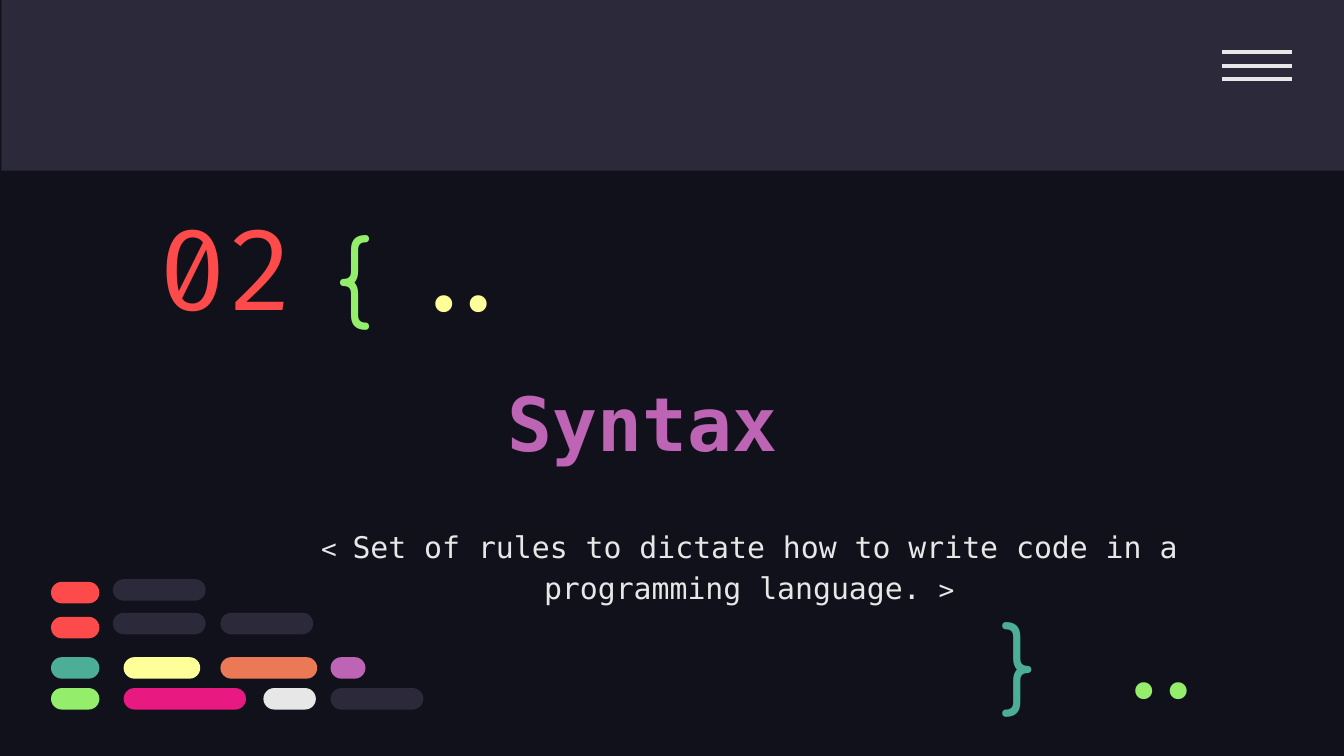
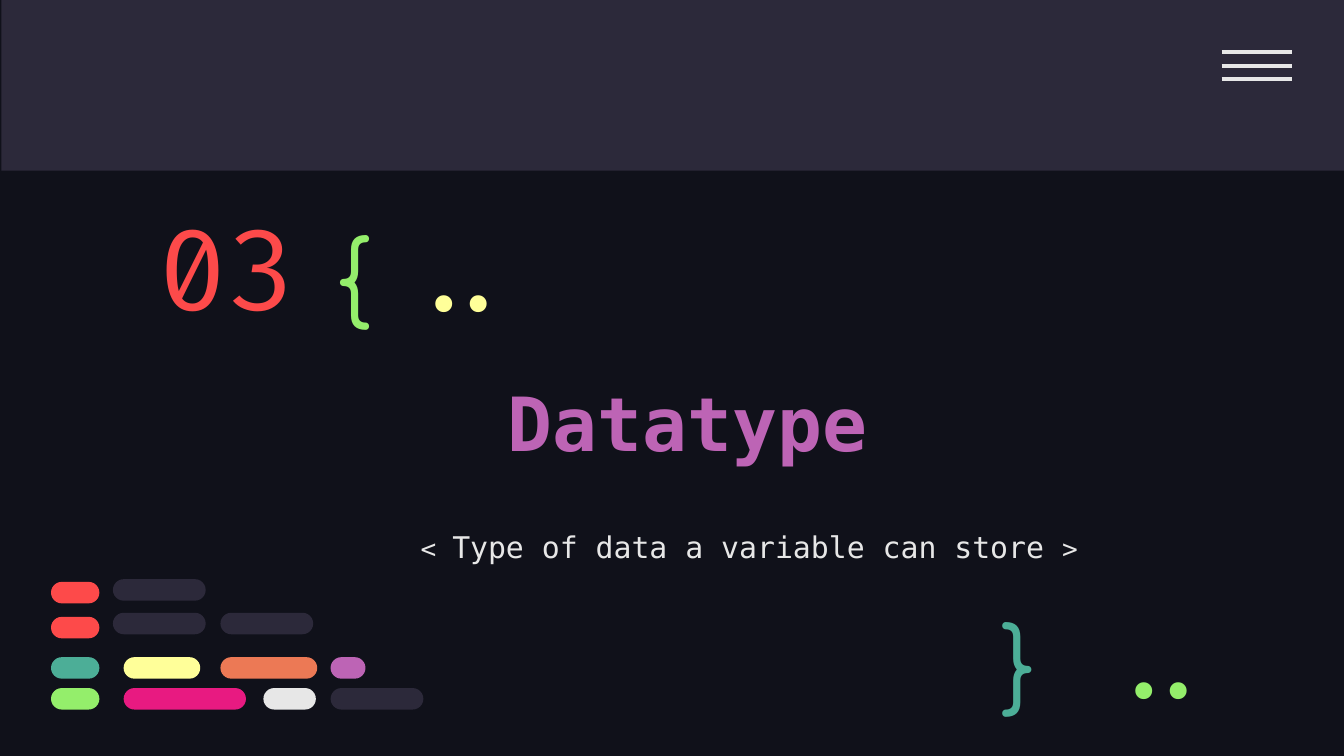
from pptx import Presentation
from pptx.dml.color import RGBColor
from pptx.enum.shapes import MSO_CONNECTOR as Line, MSO_SHAPE as Shape
from pptx.enum.text import MSO_ANCHOR as Anchor, PP_ALIGN as Align
from pptx.oxml.ns import qn
from pptx.util import Inches, Pt
from lxml.etree import SubElement

NIGHT = RGBColor(0x10, 0x11, 0x1A)
SLATE = RGBColor(0x2C, 0x29, 0x3A)
WHITE = RGBColor(0xE7, 0xE7, 0xE7)
RED = RGBColor(0xFD, 0x4A, 0x4A)
TEAL = RGBColor(0x4C, 0xAE, 0x97)
LIME = RGBColor(0x94, 0xEE, 0x6B)
YELLOW = RGBColor(0xFF, 0xFF, 0x99)
ORANGE = RGBColor(0xEC, 0x79, 0x55)
PURPLE = RGBColor(0xBD, 0x64, 0xB5)
PINK = RGBColor(0xE8, 0x1A, 0x81)

MONO, CODE, ROUND = "DejaVu Sans Mono", "Fira Code", "Comfortaa"
HEAD = {"name": MONO, "size": Pt(40), "bold": True}
NUMBER = {"name": CODE, "size": Pt(60)}
BRACE = {"name": ROUND, "size": Pt(50)}
DOTS = {"name": CODE, "size": Pt(50)}
MARK = {"name": MONO, "size": Pt(14)}
BODY = {"name": MONO, "size": Pt(16)}

# Top of each row of code pills, then left, width and colour of its pills
PILLS = {
    4.31: [(0.84, 0.69, SLATE)],
    4.33: [(0.38, 0.36, RED)],
    4.56: [(0.84, 0.69, SLATE), (1.64, 0.69, SLATE)],
    4.59: [(0.38, 0.36, RED)],
    4.89: [(0.38, 0.36, TEAL), (0.92, 0.57, YELLOW),
           (1.64, 0.72, ORANGE), (2.46, 0.26, PURPLE)],
    5.12: [(0.38, 0.36, LIME), (0.92, 0.91, PINK),
           (1.96, 0.39, WHITE), (2.46, 0.69, SLATE)],
}

TOPICS = [
    ("02", "Syntax", "Set of rules to dictate how to write code in a "
                     "programming language. "),
    ("03", "Datatype", "Type of data a variable can store "),
]


def add_block(slide, kind, box, color):
    block = slide.shapes.add_shape(kind, *map(Inches, box))
    block.shadow.inherit = False
    block.fill.solid()
    block.fill.fore_color.rgb = color
    block.line.fill.background()
    return block


def add_text(slide, box, runs, color, anchor=Anchor.TOP, **layout):
    """Add one paragraph made of (text, font values) runs."""
    frame = slide.shapes.add_textbox(*map(Inches, box)).text_frame
    frame.word_wrap = True
    frame.vertical_anchor = anchor
    for side in ("left", "top", "right", "bottom"):
        setattr(frame, f"margin_{side}", Inches(0.1))
    para = frame.paragraphs[0]
    for key, value in layout.items():
        setattr(para, key, value)
    for text, style in runs:
        run = para.add_run()
        run.text = text
        for key, value in style.items():
            setattr(run.font, key, value)
        run.font.color.rgb = color
    return para


def add_menu(slide):
    for row in range(3):
        top = Inches(0.39 + 0.1 * row)
        bar = slide.shapes.add_connector(
            Line.STRAIGHT, Inches(9.09), top, Inches(9.61), top)
        bar.line.color.rgb = WHITE
        bar.line.width = Pt(2.25)
        SubElement(bar._element.spPr, qn("a:effectLst"))


def add_pills(slide):
    for top, row in PILLS.items():
        for left, width, color in row:
            pill = add_block(slide, Shape.ROUNDED_RECTANGLE,
                             (left, top, width, 0.16), color)
            pill.adjustments[0] = 0.5


def add_dots(slide, left, top, color):
    add_text(slide, (left, top, 1.07, 0.6), [("..", DOTS)], color,
             Anchor.MIDDLE, alignment=Align.RIGHT)


def add_topic(deck, number, name, text):
    slide = deck.slides.add_slide(deck.slide_layouts[6])
    add_block(slide, Shape.RECTANGLE, (0.01, 0, 9.99, 1.27), SLATE)
    add_menu(slide)
    title = add_text(slide, (1.68, 2.48, 7.26, 1.31), [(name, HEAD)],
                     PURPLE, Anchor.MIDDLE)
    title._p.get_or_add_pPr().set("marL", str(Inches(2)))
    add_text(slide, (1.08, 1.48, 1.81, 1), [(number, NUMBER)],
             RED, Anchor.MIDDLE)
    add_text(slide, (2.27, 3.79, 6.61, 0.31),
             [("< ", MARK), (text, BODY), (">", MARK)], WHITE,
             alignment=Align.CENTER, line_spacing=1.15)
    add_text(slide, (2.4, 1.5, 0.77, 0.95), [("{", BRACE)], LIME)
    add_text(slide, (7.35, 4.38, 0.57, 0.83), [("}", BRACE)], TEAL)
    add_dots(slide, 8.1, 4.62, LIME)
    add_dots(slide, 2.89, 1.74, YELLOW)
    add_pills(slide)


def main():
    deck = Presentation()
    deck.slide_width = Inches(10)
    deck.slide_height = deck.slide_width * 9 // 16
    ground = deck.slide_master.background.fill
    ground.solid()
    ground.fore_color.rgb = NIGHT
    for topic in TOPICS:
        add_topic(deck, *topic)
    deck.save("out.pptx")


if __name__ == "__main__":
    main()
